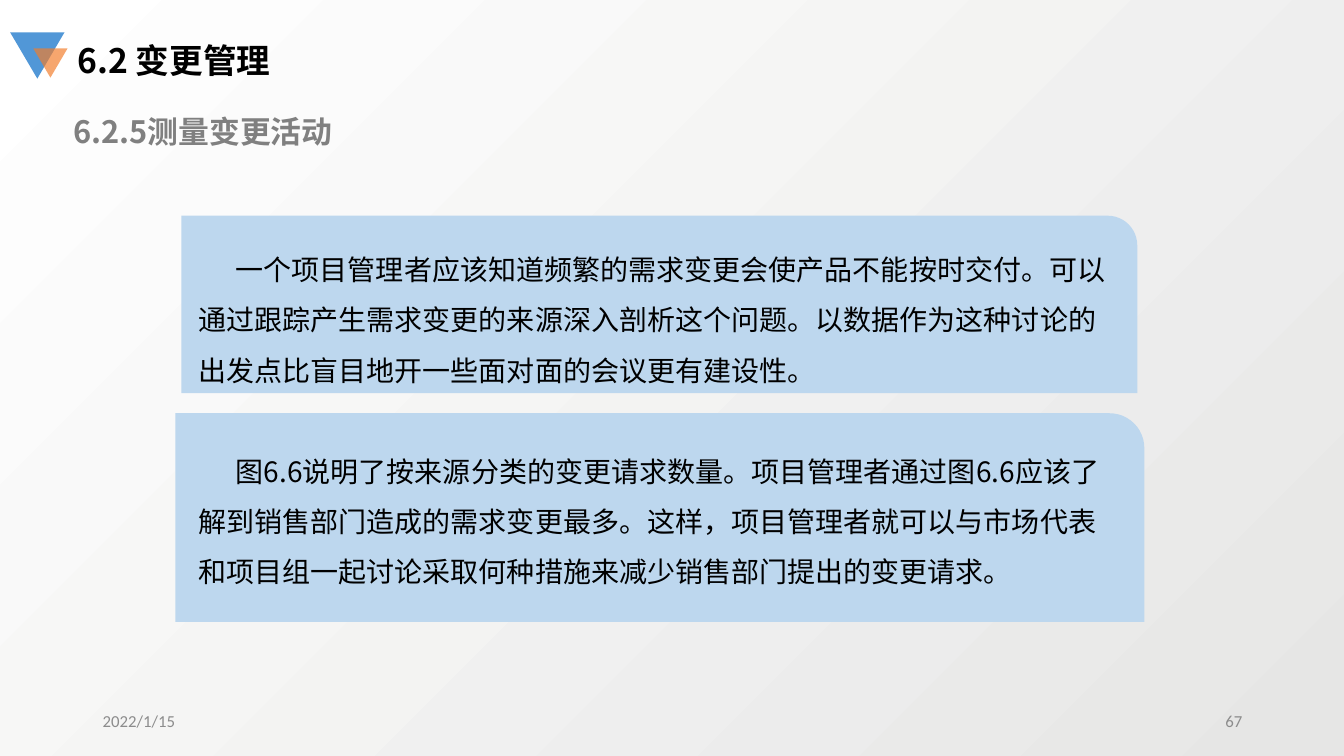
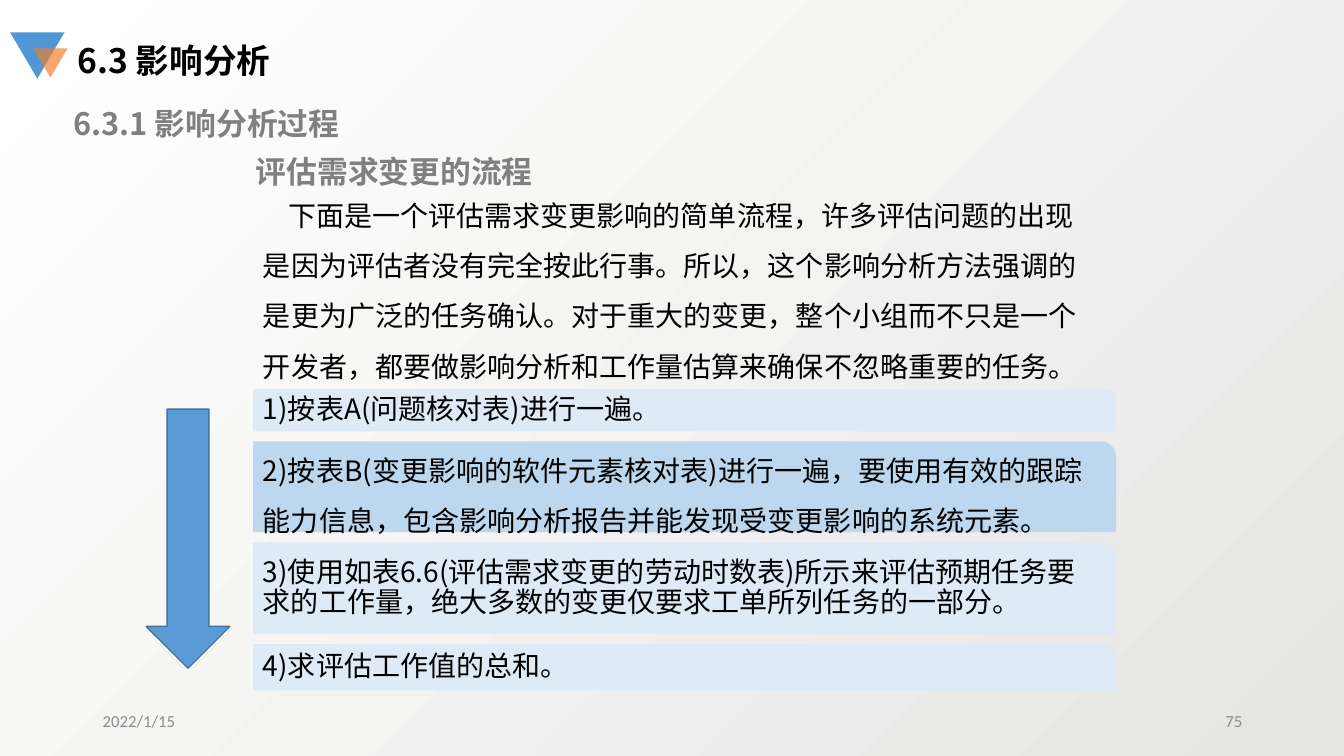
from lxml import etree
from pptx import Presentation
from pptx import util as u
from pptx.dml.color import RGBColor
from pptx.enum import shapes, text
from pptx.oxml.ns import qn

CJK, LATIN = "Noto Sans CJK SC", "Calibri"
BLACK, GREY, FOOTER_GREY = "000000", "808080", "8C8C8C"
PALE, SKY, ARROW_BLUE, ARROW_EDGE = "DEEBF7", "BDD7EE", "5B9BD5", "43739E"
MARK_BLUE, MARK_ORANGE = "5197D7", "F37D2A"
SHADE, WHITE = "E6E6E5", "FFFFFF"
WIDTH, HEIGHT = 13.33, 7.5
BODY_SIZE, WIDE_LINE, TIGHT_LINE = 20, 36, 21.5
DATE = "2022/1/15"

MEASURING = {
    "title": "6.2 变更管理",
    "number": "67",
    "headings": [("6.2.5测量变更活动", (0.63, 1.07, 4.58, 0.47))],
    "body": [
        "一个项目管理者应该知道频繁的需求变更会使产品不能按时交付。可以通过跟踪产生需求变更的来源深入剖析这个问题。以数据作为这种讨论的出发点比盲目地开一些面对面的会议更有建设性。",
        "图6.6说明了按来源分类的变更请求数量。项目管理者通过图6.6应该了解到销售部门造成的需求变更最多。这样，项目管理者就可以与市场代表和项目组一起讨论采取何种措施来减少销售部门提出的变更请求。",
    ],
    "body_box": (1.87, 2.29, 9.34, 3.63),
    "indent": 0.37,
}
CARDS = [(1.74, 4.1, 9.61, 2.07), (1.8, 2.14, 9.48, 1.76)]

IMPACT = {
    "title": "6.3 影响分析",
    "number": "75",
    "headings": [
        ("6.3.1 影响分析过程", (0.63, 0.99, 4.58, 0.47)),
        ("评估需求变更的流程", (2.44, 1.46, 3.2, 0.47)),
    ],
    "body": [
        "下面是一个评估需求变更影响的简单流程，许多评估问题的出现是因为评估者没有完全按此行事。所以，这个影响分析方法强调的是更为广泛的任务确认。对于重大的变更，整个小组而不只是一个开发者，都要做影响分析和工作量估算来确保不忽略重要的任务。",
    ],
    "body_box": (2.51, 1.75, 8.49, 2.12),
    "indent": 0.25,
}
# text, height, fill, line pitch
STEPS = [
    ("1)按表A(问题核对表)进行一遍。", 0.42, PALE, TIGHT_LINE),
    ("2)按表B(变更影响的软件元素核对表)进行一遍，要使用有效的跟踪能力信息，包含影响分析报告并能发现受变更影响的系统元素。", 0.9, SKY, WIDE_LINE),
    ("3)使用如表6.6(评估需求变更的劳动时数表)所示来评估预期任务要求的工作量，绝大多数的变更仅要求工单所列任务的一部分。", 0.91, PALE, TIGHT_LINE),
    ("4)求评估工作值的总和。", 0.46, PALE, TIGHT_LINE),
]
STEP_LEFT, STEP_TOP, STEP_WIDTH, STEP_GAP = 2.51, 3.86, 8.56, 0.1
ARROW = (1.45, 4.06, 0.83, 2.57)


def rgb(code):
    return RGBColor.from_string(code)


def inches(box):
    return [u.Inches(value) for value in box]


def write(shape, paragraphs, size, color=BLACK, font=CJK, bold=False,
          align=text.PP_ALIGN.LEFT, anchor=text.MSO_ANCHOR.MIDDLE,
          pitch=None, indent=0):
    frame = shape.text_frame
    frame.text = "\n".join(paragraphs)
    frame.word_wrap = True
    frame.auto_size = text.MSO_AUTO_SIZE.NONE
    frame.vertical_anchor = anchor
    frame.margin_left = frame.margin_right = u.Inches(0.1)
    frame.margin_top = frame.margin_bottom = u.Inches(
        0.05 if anchor == text.MSO_ANCHOR.TOP else 0)
    for index, paragraph in enumerate(frame.paragraphs):
        paragraph.alignment = align
        paragraph.space_before = u.Pt(pitch if index else 0)
        paragraph.line_spacing = u.Pt(pitch) if pitch else 1.0
        if indent:
            paragraph._p.get_or_add_pPr().set("indent", str(u.Inches(indent)))
        for run in paragraph.runs:
            run.font.size, run.font.bold = u.Pt(size), bold
            run.font.color.rgb = rgb(color)
            run.font.name = font
            east_asian = etree.SubElement(run._r.get_or_add_rPr(), qn("a:ea"))
            east_asian.set("typeface", font)


def add_text(slide, box, paragraphs, size, **style):
    write(slide.shapes.add_textbox(*inches(box)), paragraphs, size, **style)


def add_filled(parent, preset, box, fill):
    shape = parent.shapes.add_shape(preset, *inches(box))
    shape.shadow.inherit = False
    shape.fill.solid()
    shape.fill.fore_color.rgb = rgb(fill)
    shape.line.fill.background()
    return shape


def add_corner_mark(slide):
    mark = slide.shapes.add_group_shape()
    triangle = shapes.MSO_SHAPE.ISOSCELES_TRIANGLE
    large = add_filled(mark, triangle, (0.1, 0.32, 0.54, 0.46), MARK_BLUE)
    small = add_filled(mark, triangle, (0.33, 0.48, 0.34, 0.29), MARK_ORANGE)
    large.rotation = small.rotation = 180
    color = small._element.spPr.find(qn("a:solidFill")).find(qn("a:srgbClr"))
    etree.SubElement(color, qn("a:alpha")).set("val", "68000")


def set_background(master):
    fill = master.background.fill
    fill.gradient()
    fill.gradient_angle = 135
    for stop, code, position in zip(fill.gradient_stops, (SHADE, WHITE), (0, 1)):
        stop.color.rgb = rgb(code)
        stop.position = position


def add_section_slide(deck, content):
    """Add a slide with the shared title, headings and footer."""
    slide = deck.slides.add_slide(deck.slide_layouts[5])
    title = slide.shapes.title
    title.left, title.top, title.width, title.height = inches((0.67, 0.35, 3.35, 0.5))
    write(title, [content["title"]], 24, bold=True)
    add_corner_mark(slide)
    for heading, box in content["headings"]:
        add_text(slide, box, [heading], 22, color=GREY, bold=True)
    footers = [(0.92, DATE, text.PP_ALIGN.LEFT),
               (9.42, content["number"], text.PP_ALIGN.RIGHT)]
    for left, words, align in footers:
        add_text(slide, (left, 6.95, 3, 0.4), [words], 12,
                 color=FOOTER_GREY, font=LATIN, align=align)
    return slide


def add_body(slide, content):
    add_text(slide, content["body_box"], content["body"], BODY_SIZE,
             anchor=text.MSO_ANCHOR.TOP, pitch=WIDE_LINE, indent=content["indent"])


def build_measuring(deck):
    slide = add_section_slide(deck, MEASURING)
    for box in CARDS:
        add_filled(slide, shapes.MSO_SHAPE.ROUND_1_RECTANGLE, box, SKY)
    add_body(slide, MEASURING)


def build_impact(deck):
    slide = add_section_slide(deck, IMPACT)
    top = STEP_TOP
    for words, height, fill, pitch in STEPS:
        step = add_filled(slide, shapes.MSO_SHAPE.ROUND_1_RECTANGLE,
                          (STEP_LEFT, top, STEP_WIDTH, height), fill)
        write(step, [words], BODY_SIZE, pitch=pitch)
        top += height + STEP_GAP
    add_body(slide, IMPACT)
    arrow = add_filled(slide, shapes.MSO_SHAPE.DOWN_ARROW, ARROW, ARROW_BLUE)
    arrow.line.color.rgb = rgb(ARROW_EDGE)
    arrow.line.width = u.Pt(1)


def main():
    deck = Presentation()
    deck.slide_width, deck.slide_height = inches((WIDTH, HEIGHT))
    set_background(deck.slide_master)
    build_measuring(deck)
    build_impact(deck)
    deck.save("out.pptx")


if __name__ == "__main__":
    main()
